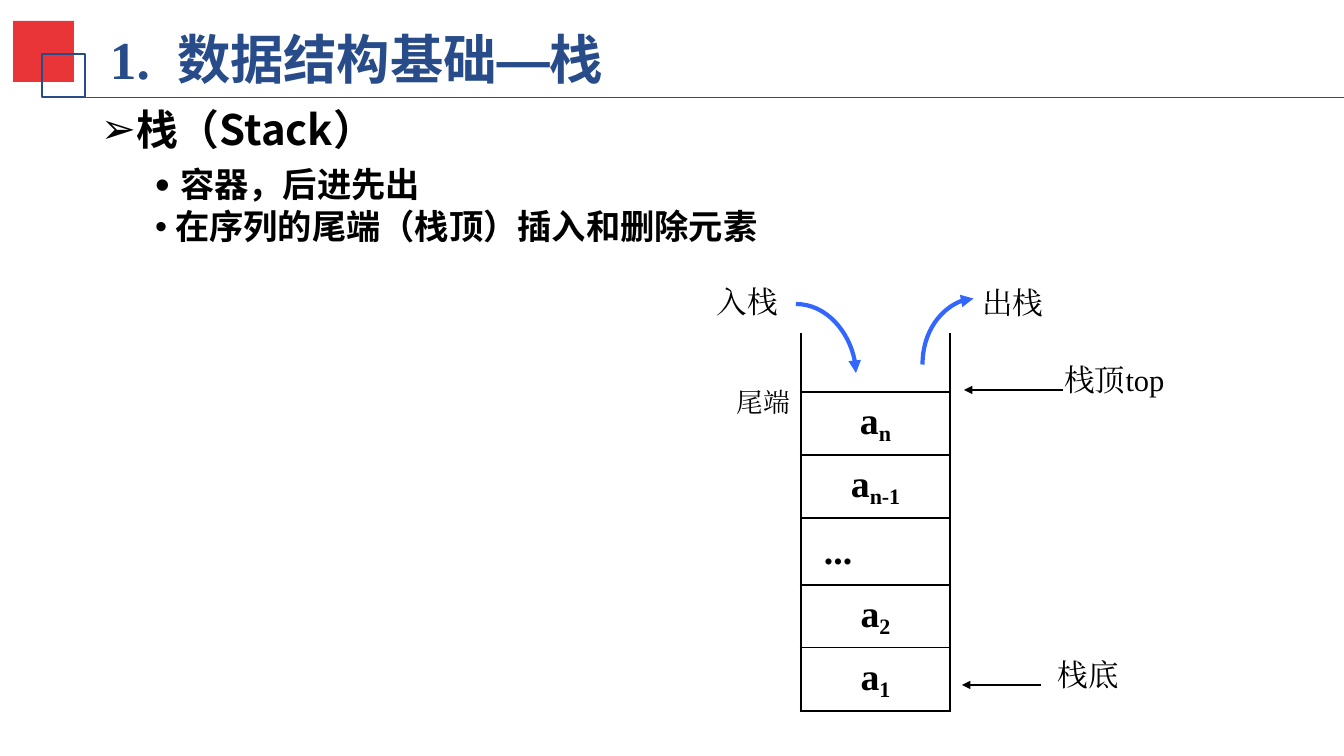
from lxml import etree
from pptx import Presentation
from pptx.dml.color import RGBColor
from pptx.enum.shapes import MSO_CONNECTOR, MSO_SHAPE
from pptx.enum.text import MSO_ANCHOR, PP_ALIGN
from pptx.oxml.ns import qn
from pptx.util import Emu, Pt

EMU_PER_PX = 914400 / 100.8
NAVY, RED, BLUE, BLACK = "284C8A", "E93538", "3366FF", "000000"
SERIF, SANS, CJK = "Times New Roman", "Arial", "Noto Sans CJK SC"


def px(n):
    return Emu(round(n * EMU_PER_PX))


def rgb(color):
    return RGBColor.from_string(color)


def add_run(p, text, size, font=SERIF, color=BLACK, bold=False, baseline=0, spacing=0):
    """Add a run; baseline is in percent, spacing in points."""
    r = p.add_run()
    r.text = text
    f = r.font
    f.size, f.name, f.bold = Pt(size), font, bold
    f.color.rgb = rgb(color)
    rPr = r._r.get_or_add_rPr()
    if baseline:
        rPr.set("baseline", str(baseline * 1000))
    if spacing:
        rPr.set("spc", str(spacing * 100))
    ea = etree.Element(qn("a:ea"), typeface=font)
    rPr.find(qn("a:latin")).addnext(ea)


def add_bullet(p, char, left, hanging, percent=100):
    pPr = p._p.get_or_add_pPr()
    pPr.set("marL", str(px(left)))
    pPr.set("indent", str(px(-hanging)))
    etree.SubElement(pPr, qn("a:buSzPct"), val=str(percent * 1000))
    etree.SubElement(pPr, qn("a:buFont"), typeface=SANS)
    etree.SubElement(pPr, qn("a:buChar"), char=char)


def set_borders(cell, **widths):
    """Give widths in points for L, R, T and B; 0 draws no border."""
    tcPr = cell._tc.get_or_add_tcPr()
    for i, side in enumerate("LRTB"):
        ln = etree.Element(qn("a:ln" + side), w=str(Pt(widths[side])))
        if widths[side]:
            fill = etree.SubElement(ln, qn("a:solidFill"))
            etree.SubElement(fill, qn("a:srgbClr"), val=BLACK)
        else:
            etree.SubElement(ln, qn("a:noFill"))
        tcPr.insert(i, ln)


class SlideBuilder:
    def __init__(self, prs):
        self.slide = prs.slides.add_slide(prs.slide_layouts[6])
        self.shapes = self.slide.shapes

    def text_box(self, x, y, w, h, inset_x=10, inset_y=5):
        tf = self.shapes.add_textbox(px(x), px(y), px(w), px(h)).text_frame
        tf.word_wrap = True
        tf.margin_left = tf.margin_right = px(inset_x)
        tf.margin_top = tf.margin_bottom = px(inset_y)
        return tf

    def label(self, text, x, y, w, size=21.8, align=PP_ALIGN.CENTER, inset_x=10):
        p = self.text_box(x, y, w, 47, inset_x).paragraphs[0]
        p.alignment = align
        add_run(p, text, size)

    def square(self, x, y, side, fill=None, line=None):
        sp = self.shapes.add_shape(MSO_SHAPE.RECTANGLE, px(x), px(y), px(side), px(side))
        sp.shadow.inherit = False
        if fill:
            sp.fill.solid()
            sp.fill.fore_color.rgb = rgb(fill)
        else:
            sp.fill.background()
        if line:
            sp.line.color.rgb = rgb(line)
            sp.line.width = Pt(1)
        else:
            sp.line.fill.background()

    def line(self, x1, y1, x2, y2, color, width, arrow=False, kind=MSO_CONNECTOR.STRAIGHT):
        cxn = self.shapes.add_connector(kind, px(x1), px(y1), px(x2), px(y2))
        cxn.line.color.rgb = rgb(color)
        cxn.line.width = Pt(width)
        spPr = cxn._element.spPr
        if arrow:
            etree.SubElement(spPr.find(qn("a:ln")), qn("a:tailEnd"), type="triangle")
        etree.SubElement(spPr, qn("a:effectLst"))
        return spPr

    def curve(self, x, y, w, h, rotation=0):
        """Draw a quarter bend with an arrowhead, turned by rotation degrees."""
        spPr = self.line(x, y, x + w, y + h, BLUE, 3, True, MSO_CONNECTOR.CURVE)
        spPr.find(qn("a:prstGeom")).set("prst", "curvedConnector2")
        spPr.find(qn("a:xfrm")).set("rot", str(rotation * 60000))

    def stack(self, x, y, w, rows):
        """Draw one column of cells from (height, text, subscript) rows."""
        total = sum(height for height, _, _ in rows)
        frame = self.shapes.add_table(len(rows), 1, px(x), px(y), px(w), px(total))
        table = frame.table
        table.first_row = table.horz_banding = False
        table.columns[0].width = px(w)
        last = len(rows) - 1
        for i, (height, text, subscript) in enumerate(rows):
            table.rows[i].height = px(height)
            cell = table.cell(i, 0)
            cell.fill.background()
            set_borders(cell, L=2.25, R=2.25, T=1 if i else 0, B=2.25 if i == last else 1)
            cell.vertical_anchor = MSO_ANCHOR.MIDDLE
            cell.margin_left = cell.margin_right = px(14 if subscript else 23)
            cell.margin_top = cell.margin_bottom = px(7)
            if not text:
                continue
            p = cell.text_frame.paragraphs[0]
            p.alignment = PP_ALIGN.CENTER if subscript else PP_ALIGN.LEFT
            add_run(p, text, 27, bold=True)
            if subscript:
                add_run(p, subscript, 27, bold=True, baseline=-18)


def main():
    prs = Presentation()
    prs.slide_width, prs.slide_height = px(1344), px(756)
    s = SlideBuilder(prs)

    title = s.text_box(100, 21, 948, 75).paragraphs[0]
    add_run(title, "1.", 38.1, SERIF, NAVY, True)
    add_run(title, " ", 38.1, SERIF, NAVY, True, spacing=10)
    add_run(title, "数据结构基础—栈", 38.1, SANS, NAVY, True)
    s.square(13, 21, 61, fill=RED)
    s.square(42, 54, 43, line=NAVY)
    s.line(52, 97, 1344, 97, NAVY, 0.5)

    tf = s.text_box(89, 103, 1177, 548, 12, 6)
    points = [
        ("栈（Stack）", 29.9, 0, ("➢", 33, 33)),
        ("容器，后进先出", 24.5, 10, ("•", 79, 25, 122)),
        ("在序列的尾端（栈顶）插入和删除元素", 24.5, 3.5, ("•", 74, 20)),
    ]
    for i, (text, size, before, bullet) in enumerate(points):
        p = tf.add_paragraph() if i else tf.paragraphs[0]
        p.line_spacing = 0.9
        if before:
            p.space_before = Pt(before)
        add_bullet(p, *bullet)
        add_run(p, text, size, CJK, bold=True)

    s.stack(801, 333, 149, [
        (59, "", ""), (63, "a", "n"), (63, "a", "n-1"),
        (67, "...", ""), (63, "a", "2"), (62, "a", "1"),
    ])

    s.label("栈底", 1041, 651, 95)
    s.line(1041, 685, 962, 685, BLACK, 1.75, True)
    s.label("栈顶top", 1049, 356, 131)
    s.line(1063, 390, 964, 390, BLACK, 1.75, True)
    s.label("入栈", 680, 278, 135)
    s.curve(796, 304, 60, 69)
    s.label("出栈", 964, 279, 98)
    s.curve(915, 306, 66, 51, 270)
    s.label("尾端", 737, 381, 71, 19.1, PP_ALIGN.LEFT, 0)

    prs.save("out.pptx")


if __name__ == "__main__":
    main()
